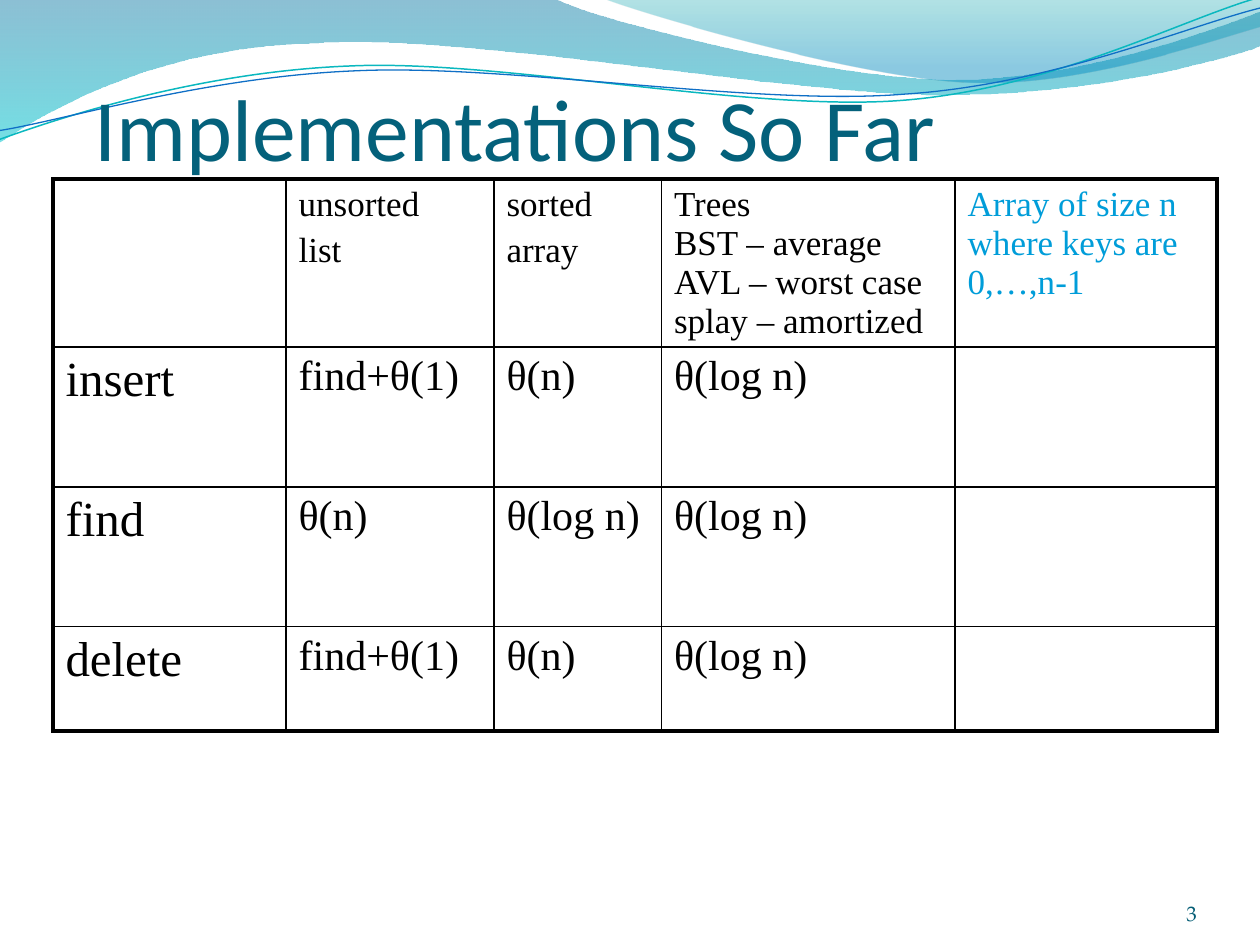
from dataclasses import dataclass

from lxml.etree import SubElement
from pptx import Presentation
from pptx.dml.color import RGBColor
from pptx.enum.text import MSO_ANCHOR as Anchor, MSO_AUTO_SIZE as AutoSize, PP_ALIGN as Align
from pptx.oxml.ns import qn
from pptx.util import Inches, Pt


@dataclass(frozen=True)
class Theme:
    ink: str = "000000"
    title: str = "04617B"
    number: str = "045D75"
    accent: str = "009DD9"
    teal_line: str = "0AB8BF"
    blue_line: str = "0F6FC6"
    title_font: str = "Calibri"
    table_font: str = "Times New Roman"
    number_font: str = "TeX Gyre Pagella"
    title_size: int = 50
    label_size: int = 28
    value_size: int = 24
    header_size: int = 20
    number_size: int = 12
    outer_border: float = 2.25
    inner_border: float = 1


# Outlines in inches: a start point, then one point per line or three per curve.
BROAD_WAVE = ((0, 0), [
    [(4.4, -0.01)],
    [(4.76, 0.17), (6.64, 0.63), (7.58, 0.63)],
    [(8.53, 0.63), (9.58, 0.26), (10, 0.09)],
    [(10.01, 0.36)],
    [(9.83, 0.44), (8.7, 0.76), (7.46, 0.75)],
    [(6.22, 0.75), (3.82, 0.28), (2.57, 0.34)],
    [(1.29, 0.36), (0.46, 0.83), (-0.01, 1.13)],
])
RIGHT_WAVE = ((4.79, -0.01), [
    [(5.09, 0.11), (6.82, 0.62), (7.69, 0.65)],
    [(8.56, 0.69), (9.61, 0.32), (10, 0.21)],
    [(10, 0)],
])
# The two thin curves are given before they are tilted.
CURVE_TILT = -2.7
TEAL_CURVE = ((-0.02, 0.87), [
    [(0.47, 0.72), (1.58, 0.41), (2.78, 0.42)],
    [(3.96, 0.42), (5.91, 0.93), (7.12, 0.9)],
    [(8.32, 0.87), (9.4, 0.36), (10, 0.22)],
])
BLUE_CURVE = ((-0.02, 0.8), [
    [(0.46, 0.75), (1.64, 0.45), (2.83, 0.46)],
    [(4.03, 0.46), (5.96, 0.89), (7.16, 0.85)],
    [(8.35, 0.83), (9.42, 0.42), (10.02, 0.3)],
])

COLUMN_WIDTHS = (1.85, 1.65, 1.33, 2.33, 2.08)
ROW_HEIGHTS = (1.33, 1.11, 1.11, 0.83)
ROWS = (
    ("", "unsorted\nlist", "sorted\narray",
     "Trees\vBST – average\vAVL – worst case\vsplay – amortized",
     "Array of size n where keys are 0,…,n-1"),
    ("insert", "find+θ(1)", "θ(n)", "θ(log n)", ""),
    ("find", "θ(n)", "θ(log n)", "θ(log n)", ""),
    ("delete", "find+θ(1)", "θ(n)", "θ(log n)", ""),
)


class SlideBuilder:
    def __init__(self, page, theme):
        self.page, self.theme = page, theme

    def style(self, para, font, size, color):
        para.font.name, para.font.size = font, Pt(size)
        para.font.color.rgb = RGBColor.from_string(color)

    def outline(self, path, closed):
        """Build a freeform through the end points, then bend its curved segments."""
        start, segments = path
        builder = self.page.shapes.build_freeform(*map(Inches, start))
        builder.add_line_segments([tuple(map(Inches, segment[-1])) for segment in segments],
                                  close=closed)
        shape = builder.convert_to_shape()
        shape.shadow.inherit = False
        lines = list(shape.element.spPr.iter(qn("a:lnTo")))
        for line, segment in zip(lines, segments):
            if len(segment) == 3:
                bend = line.makeelement(qn("a:cubicBezTo"), {})
                for x, y in segment:
                    SubElement(bend, qn("a:pt"), x=str(Inches(x) - shape.left),
                               y=str(Inches(y) - shape.top))
                line.getparent().replace(line, bend)
        return shape

    def wave(self, path, stops):
        """Draw a filled wave; each stop is (position, colour, opacity percent)."""
        shape = self.outline(path, closed=True)
        shape.line.fill.background()
        shape.fill.gradient()
        shape.fill.gradient_angle = 270
        for stop, (position, color, _) in zip(shape.fill.gradient_stops, stops):
            stop.position = position
            stop.color.rgb = RGBColor.from_string(color)
        colors = shape.element.spPr.iterfind(".//" + qn("a:gs") + "/" + qn("a:srgbClr"))
        for node, (_, _, opacity) in zip(colors, stops):
            SubElement(node, qn("a:alpha"), val=str(opacity * 1000))

    def curve(self, path, color, width):
        shape = self.outline(path, closed=False)
        shape.rotation = CURVE_TILT
        shape.fill.background()
        shape.line.color.rgb = RGBColor.from_string(color)
        shape.line.width = Pt(width)

    def title(self, text):
        box = self.page.shapes.title
        box.left, box.top, box.width, box.height = map(Inches, (0.75, 0.17, 8.5, 1.25))
        box.element.getparent().append(box.element)  # in front of the waves
        frame = box.text_frame
        frame.text = text
        frame.auto_size, frame.vertical_anchor = AutoSize.NONE, Anchor.BOTTOM
        frame.margin_left = frame.margin_right = frame.margin_bottom = 0
        frame.margin_top = Inches(0.05)
        para = frame.paragraphs[0]
        para.alignment = Align.LEFT
        self.style(para, self.theme.title_font, self.theme.title_size, self.theme.title)

    def page_number(self, text):
        box = self.page.shapes.add_textbox(*map(Inches, (8.67, 6.95, 0.83, 0.4)))
        frame = box.text_frame
        frame.text, frame.word_wrap, frame.vertical_anchor = text, True, Anchor.BOTTOM
        frame.margin_left = frame.margin_right = frame.margin_top = frame.margin_bottom = 0
        para = frame.paragraphs[0]
        para.alignment = Align.RIGHT
        self.style(para, self.theme.number_font, self.theme.number_size, self.theme.number)

    def borders(self, cell, outer_edges):
        """Rule all four sides, with the heavy line on the sides where outer_edges is true."""
        properties = cell._tc.get_or_add_tcPr()
        for index, (side, outer) in enumerate(outer_edges.items()):
            width = self.theme.outer_border if outer else self.theme.inner_border
            line = properties.makeelement(qn("a:ln" + side), {"w": str(int(Pt(width)))})
            fill = SubElement(line, qn("a:solidFill"))
            SubElement(fill, qn("a:srgbClr"), val=self.theme.ink)
            properties.insert(index, line)

    def table(self, rows, widths, heights):
        last_row, last_column = len(rows) - 1, len(widths) - 1
        frame = self.page.shapes.add_table(
            len(rows), len(widths), Inches(0.42), Inches(1.42),
            Inches(sum(widths)), Inches(sum(heights)))
        table = frame.table
        table.first_row = table.horz_banding = False
        for column, width in zip(table.columns, widths):
            column.width = Inches(width)
        for r, (row, height) in enumerate(zip(rows, heights)):
            table.rows[r].height = Inches(height)
            for c, text in enumerate(row):
                cell = table.cell(r, c)
                cell.fill.background()
                self.borders(cell, {"L": c == 0, "R": c == last_column,
                                    "T": r == 0, "B": r == last_row})
                if not text:
                    continue
                size = (self.theme.header_size if r == 0 else
                        self.theme.label_size if c == 0 else self.theme.value_size)
                color = self.theme.accent if c == last_column else self.theme.ink
                cell.text_frame.text = text
                for para in cell.text_frame.paragraphs:
                    para.space_before = Pt(size * 0.2)
                    self.style(para, self.theme.table_font, size, color)


def main():
    deck = Presentation()
    deck.slide_width, deck.slide_height = Inches(10), Inches(7.5)
    theme = Theme()
    slide = SlideBuilder(deck.slides.add_slide(deck.slide_layouts[5]), theme)
    slide.wave(BROAD_WAVE, [(0, "0074A1", 45), (1, "00C6CF", 55)])
    slide.wave(RIGHT_WAVE, [(0, "00A1A9", 30), (0.8, "008BBF", 45)])
    slide.curve(TEAL_CURVE, theme.teal_line, 0.85)
    slide.curve(BLUE_CURVE, theme.blue_line, 0.75)
    slide.page_number("3")
    slide.title("Implementations So Far")
    slide.table(ROWS, COLUMN_WIDTHS, ROW_HEIGHTS)
    deck.save("out.pptx")


if __name__ == "__main__":
    main()
